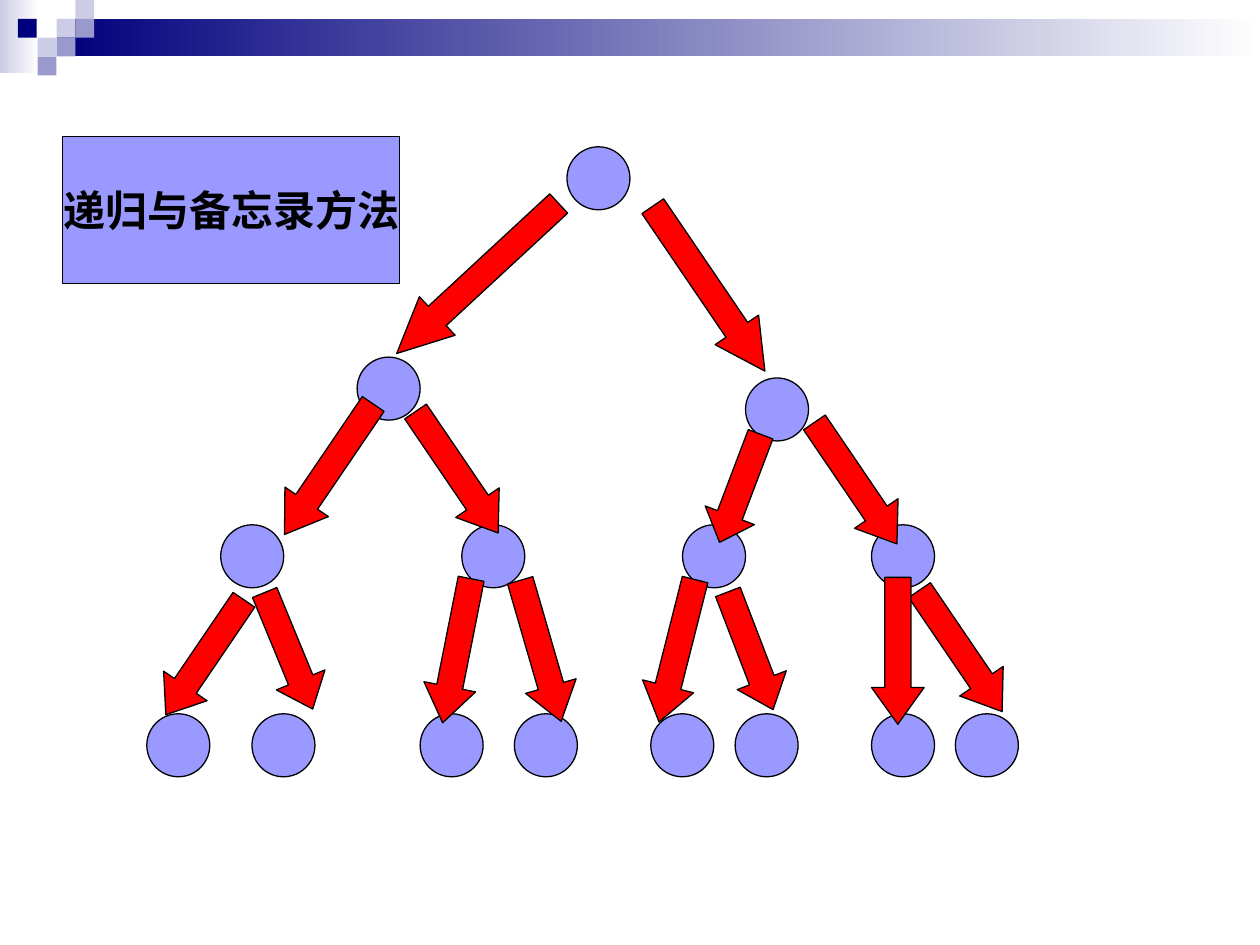
"""Build a slide showing the call tree of recursion with memoisation."""
from dataclasses import dataclass

from pptx import Presentation
from pptx.dml.color import RGBColor
from pptx.enum import shapes, text
from pptx.util import Cm, Pt


@dataclass(frozen=True)
class Theme:
    navy: str = "00007D"
    slate: str = "9999CC"
    mist: str = "CCCCE6"
    white: str = "FFFFFF"
    black: str = "000000"
    node: str = "9999FF"
    arrow: str = "FF0000"
    font: str = "Arial"
    title_size: float = 24
    line_width: float = 0.75


THEME = Theme()
TILE = 0.38
NODE_SIZE = 1.27
ARROW_WIDTH = 1.06
HEAD_SHARE = 0.25

TILES = [
    (1.14, 1, THEME.mist), (1.52, 0, THEME.mist), (1.52, 1, THEME.slate),
    (0.76, 2, THEME.mist), (0.36, 1, THEME.navy), (1.14, 2, THEME.slate),
    (0.76, 3, THEME.slate),
]
NODES = [
    (2.96, [11.43]),
    (7.2, [7.2]),
    (7.62, [15.03]),
    (10.58, [4.45, 9.31, 13.76, 17.57]),
    (14.39, [2.96, 5.08, 8.47, 10.37, 13.12, 14.82, 17.57, 19.26]),
]
ARROWS = [
    (9.1, 3.39, 4.45, 47.2), (6.1, 7.87, 3.18, 34.2),
    (3.6, 11.85, 2.8, 34.2), (5.29, 11.85, 2.54, -22.4),
    (13.76, 3.81, 4.02, -34.2), (16.72, 8.26, 2.96, -34.2),
    (14.39, 8.68, 2.33, 20.8), (8.68, 8.04, 2.96, -34.2),
    (18.84, 11.64, 2.96, -34.2), (17.57, 11.64, 2.96, 0),
    (14.6, 11.85, 2.54, -21), (13.12, 11.64, 2.96, 14.2),
    (10.37, 11.64, 2.96, -16.2), (8.68, 11.64, 2.96, 11.2),
]


def set_values(target, values):
    """Set each named attribute of the target."""
    for name, value in values.items():
        setattr(target, name, value)


def paint(shape, fill, line=None):
    """Give a shape a solid fill and an optional outline."""
    shape.fill.solid()
    shape.fill.fore_color.rgb = RGBColor.from_string(fill)
    if line:
        shape.line.color.rgb = RGBColor.from_string(line)
        shape.line.width = Pt(THEME.line_width)
    else:
        shape.line.fill.background()


def add_figure(page, kind, place, fill, line=None):
    """Add a painted preset shape placed in centimetres."""
    figure = page.shapes.add_shape(kind, *map(Cm, place))
    figure.shadow.inherit = False
    paint(figure, fill, line)
    return figure


def add_fade(page, place, colour):
    """Add a rectangle fading from a colour to white, left to right."""
    band = add_figure(page, shapes.MSO_SHAPE.RECTANGLE, place, colour)
    band.fill.gradient()
    band.fill.gradient_angle = 0
    for stop, shade in zip(band.fill.gradient_stops, (colour, THEME.white)):
        stop.color.rgb = RGBColor.from_string(shade)


def add_banner(page):
    """Add the fading bands and the tiles at the top of the page."""
    add_fade(page, (0, 0, 0.79, 1.47), THEME.mist)
    add_fade(page, (1.14, TILE, 24.26, 2 * TILE), THEME.navy)
    for left, row, colour in TILES:
        place = (left, row * TILE, TILE, TILE)
        add_figure(page, shapes.MSO_SHAPE.RECTANGLE, place, colour)


def add_node(page, left, top):
    """Add one round tree node."""
    place = (left, top, NODE_SIZE, NODE_SIZE)
    add_figure(page, shapes.MSO_SHAPE.OVAL, place, THEME.node, THEME.black)


def add_arrow(page, left, top, length, angle):
    """Add a turned block arrow whose head is a fixed share of its length."""
    place = (left, top, ARROW_WIDTH, length)
    arrow = add_figure(page, shapes.MSO_SHAPE.DOWN_ARROW, place,
                       THEME.arrow, THEME.black)
    arrow.adjustments[1] = HEAD_SHARE * length / ARROW_WIDTH
    arrow.rotation = angle


def fill_title(page, words):
    """Place, paint and fill the title, with its one line edge to edge."""
    box = page.shapes.title
    set_values(box, {"left": Cm(1.26), "top": Cm(2.75),
                     "width": Cm(6.8), "height": Cm(2.96)})
    paint(box, THEME.node, THEME.black)
    frame = box.text_frame
    set_values(frame, {"word_wrap": False,
                       "margin_left": 0, "margin_right": 0,
                       "auto_size": text.MSO_AUTO_SIZE.NONE,
                       "vertical_anchor": text.MSO_ANCHOR.MIDDLE})
    para = frame.paragraphs[0]
    para.alignment = text.PP_ALIGN.CENTER
    span = para.add_run()
    span.text = words
    set_values(span.font, {"name": THEME.font, "bold": True,
                           "size": Pt(THEME.title_size)})
    span.font.color.rgb = RGBColor.from_string(THEME.black)


def main():
    """Build and save the deck."""
    deck = Presentation()
    set_values(deck, {"slide_width": Cm(25.4), "slide_height": Cm(19.05)})
    page = deck.slides.add_slide(deck.slide_layouts.get_by_name("Title Only"))
    add_banner(page)
    fill_title(page, "递归与备忘录方法")
    for top, lefts in NODES:
        for left in lefts:
            add_node(page, left, top)
    for arrow in ARROWS:
        add_arrow(page, *arrow)
    deck.save("out.pptx")


if __name__ == "__main__":
    main()
